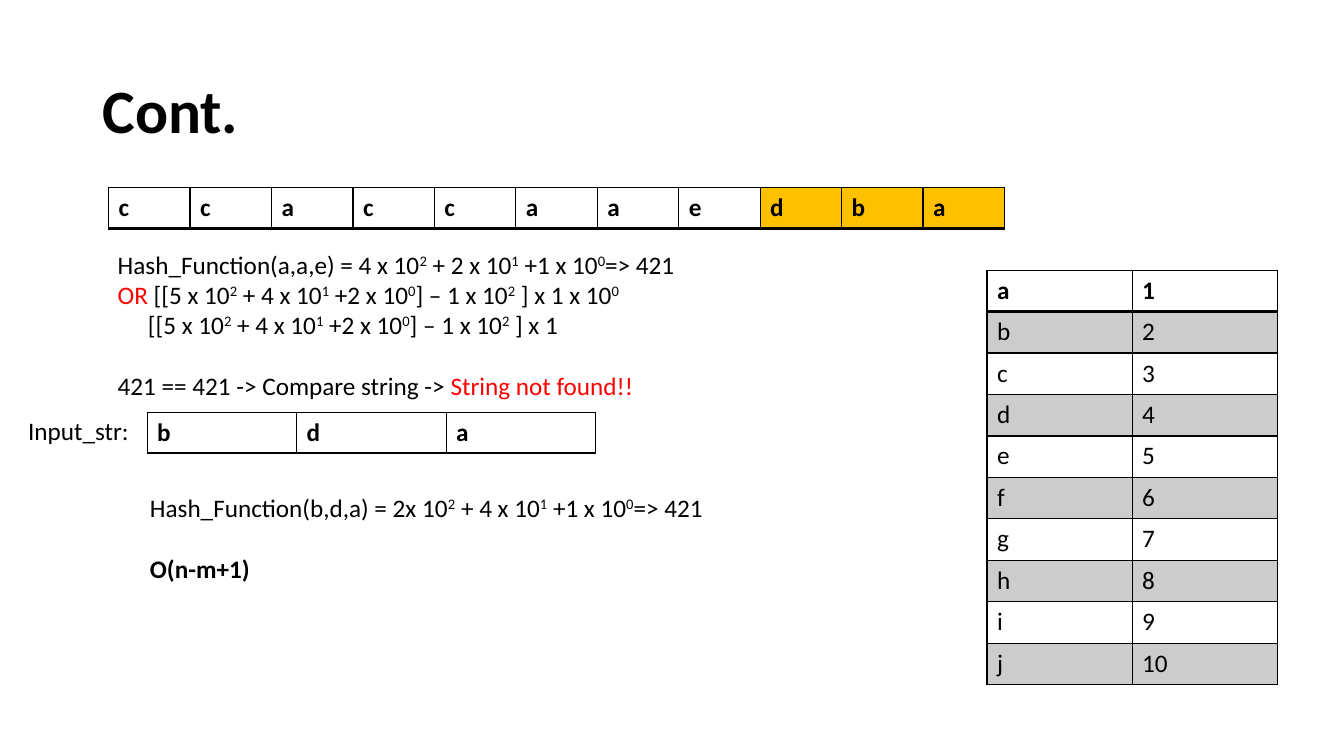
import pptx
import pptx.dml.color
import pptx.enum.text
import pptx.oxml
import pptx.oxml.ns
import pptx.util

Pt = pptx.util.Pt
RGBColor = pptx.dml.color.RGBColor

BLACK = RGBColor(0x00, 0x00, 0x00)
WHITE = RGBColor(0xFF, 0xFF, 0xFF)
RED = RGBColor(0xFF, 0x00, 0x00)
AMBER = RGBColor(0xFF, 0xC0, 0x00)
GREY = RGBColor(0xCC, 0xCC, 0xCC)
FONT = "Calibri"
BODY_SIZE = 18
LINE_HEIGHT = 22

# In the texts, ^ raises the one character after it.
TITLE = "Cont."
SEARCHED_LETTERS = "ccaccaaedba"
WINDOW_START = 8
PATTERN_LETTERS = "bda"
CODED_LETTERS = "abcdefghij"

# Paragraph: runs of (text, colour, bold), left indent, space before
ROLLING_HASH = [
    ([("Hash_Function(a,a,e) = 4 x 10^2 + 2 x 10^1 +1 x 10^0=> 421", BLACK, False)], 0, 0),
    ([("OR", RED, False),
      (" [[5 x 10^2 + 4 x 10^1 +2 x 10^0] – 1 x 10^2 ] x 1 x 10^0", BLACK, False)], 0, 0),
    ([("[[5 x 10^2 + 4 x 10^1 +2 x 10^0] – 1 x 10^2 ] x 1", BLACK, False)], 21.6, 0),
    ([("421 == 421 -> Compare string -> ", BLACK, False),
      ("String not found!!", RED, False)], 0, LINE_HEIGHT),
]
PATTERN_LABEL = [([("Input_str:", BLACK, False)], 0, 0)]
PATTERN_HASH = [
    ([("Hash_Function(b,d,a) = 2x 10^2 + 4 x 10^1 +1 x 10^0=> 421", BLACK, False)], 0, 0),
]
COMPLEXITY = [([("O(n-m+1)", BLACK, True)], 0, 0)]

# Left, top, width, height in points
TEXT_BOXES = [
    (PATTERN_LABEL, (13, 293, 129, 29)),
    (PATTERN_HASH, (100, 347.8, 480, 29)),
    (ROLLING_HASH, (77, 174.2, 480, 109)),
    (COMPLEXITY, (100, 391.7, 129, 29)),
]


def add_run(paragraph, text, colour=BLACK, bold=False, size=BODY_SIZE):
    run = paragraph.add_run()
    run.text = text
    run.font.name = FONT
    run.font.size = Pt(size)
    run.font.bold = bold
    run.font.color.rgb = colour
    return run


def add_formula(paragraph, text, colour, bold):
    """Add text whose characters after ^ become superscripts."""
    base, *powers = text.split("^")
    add_run(paragraph, base, colour, bold)
    for power in powers:
        raised = add_run(paragraph, power[0], colour, bold)
        raised.font._element.set("baseline", "30000")
        if power[1:]:
            add_run(paragraph, power[1:], colour, bold)


def add_text_box(slide, paragraphs, box):
    shape = slide.shapes.add_textbox(*map(Pt, box))
    frame = shape.text_frame
    frame.word_wrap = True
    for index, (runs, indent, space_before) in enumerate(paragraphs):
        paragraph = frame.add_paragraph() if index else frame.paragraphs[0]
        if indent:
            paragraph._p.get_or_add_pPr().set("marL", str(Pt(indent)))
        if space_before:
            paragraph.space_before = Pt(space_before)
        for text, colour, bold in runs:
            add_formula(paragraph, text, colour, bold)


def add_borders(cell, bottom_width):
    properties = cell._tc.get_or_add_tcPr()
    for side, width in (("L", 1), ("R", 1), ("T", 1), ("B", bottom_width)):
        properties.append(pptx.oxml.parse_xml(
            f'<a:ln{side} {pptx.oxml.ns.nsdecls("a")} w="{Pt(width)}">'
            f'<a:solidFill><a:srgbClr val="{BLACK}"/></a:solidFill></a:ln{side}>'))


def add_letter_table(slide, rows, box, cell_fill):
    """Add a table with a bold first row; cell_fill(row, column) gives a colour."""
    left, top, width, row_height = box
    frame = slide.shapes.add_table(len(rows), len(rows[0]), Pt(left), Pt(top),
                                   Pt(width), Pt(row_height * len(rows)))
    table = frame.table
    table.first_row = False
    table.horz_banding = False
    for column in table.columns:
        column.width = Pt(width / len(rows[0]))
    for row_index, letters in enumerate(rows):
        table.rows[row_index].height = Pt(row_height)
        for column_index, letter in enumerate(letters):
            cell = table.cell(row_index, column_index)
            is_head = row_index == 0
            add_borders(cell, 2 if is_head else 1)
            cell.fill.solid()
            cell.fill.fore_color.rgb = cell_fill(row_index, column_index)
            add_run(cell.text_frame.paragraphs[0], letter, bold=is_head)


def add_title(slide):
    title = slide.shapes.title
    title.left, title.top, title.width, title.height = map(Pt, (66, 28.8, 828, 104.4))
    frame = title.text_frame
    frame.auto_size = pptx.enum.text.MSO_AUTO_SIZE.NONE
    frame.vertical_anchor = pptx.enum.text.MSO_ANCHOR.MIDDLE
    paragraph = frame.paragraphs[0]
    paragraph.alignment = pptx.enum.text.PP_ALIGN.LEFT
    paragraph.line_spacing = 0.9
    add_run(paragraph, TITLE, bold=True, size=44)


def main():
    presentation = pptx.Presentation()
    presentation.slide_width = Pt(960)
    presentation.slide_height = Pt(540)
    slide = presentation.slides.add_slide(presentation.slide_layouts[5])
    add_title(slide)

    letter_codes = [(letter, str(code)) for code, letter in enumerate(CODED_LETTERS, 1)]
    add_letter_table(slide, letter_codes, (705, 193, 207.4, 29.6),
                     lambda row, column: GREY if row % 2 else WHITE)
    add_letter_table(slide, [SEARCHED_LETTERS], (77.6, 133.9, 640, 29.2),
                     lambda row, column: AMBER if column >= WINDOW_START else WHITE)
    add_letter_table(slide, [PATTERN_LETTERS], (105.1, 294.5, 320.4, 29.2),
                     lambda row, column: WHITE)
    for paragraphs, box in TEXT_BOXES:
        add_text_box(slide, paragraphs, box)
    presentation.save("out.pptx")


if __name__ == "__main__":
    main()
